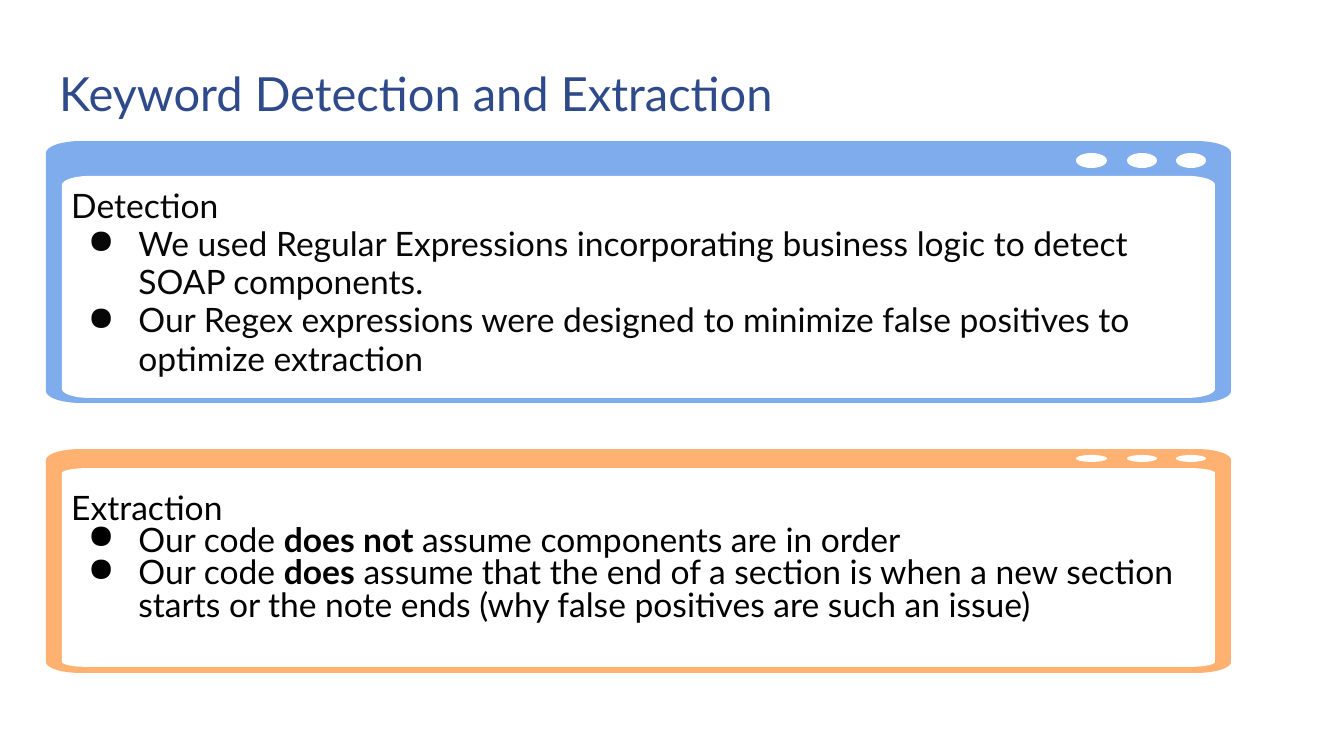
"""Build the slide on keyword detection and extraction."""
import math
from lxml import etree
from pptx import Presentation
from pptx.dml.color import RGBColor
from pptx.enum import shapes, text
from pptx.oxml.ns import qn
from pptx.util import Pt

FONT = "Lato"
TITLE = "Keyword Detection and Extraction"
PANELS = [
    dict(head="Detection", fill="7EACEC", ink="070707", gap=0.95,
         outer=(141, 262, 12), inner=(176, 222, 9), dots=(153, 15), top=174,
         items=[
             [("We used Regular Expressions incorporating business logic "
               "to detect SOAP components.", False)],
             [("Our Regex expressions were designed to minimize false "
               "positives to optimize extraction", False)],
         ]),
    dict(head="Extraction", fill="FFB172", ink="000000", gap=0.8,
         outer=(449, 224, 11), inner=(468, 199, 5), dots=(455, 7), top=481,
         items=[
             [("Our code ", False), ("does not", True),
              (" assume components are in order", False)],
             [("Our code ", False), ("does", True),
              (" assume that the end of a section is when a new section "
               "starts or the note ends (why false positives are such "
               "an issue)", False)],
         ]),
]
DOTS = [(1076, 31), (1127, 30), (1176, 30)]


def px(n):
    return round(n * 914400 / 134.4)


def rgb(code):
    return RGBColor.from_string(code)


def paint(shape, code):
    shape.fill.solid()
    shape.fill.fore_color.rgb = rgb(code)
    shape.line.fill.background()
    shape.shadow.inherit = False


def frame(slide, x, y, w, h, rx, ry, code):
    """Draw a box whose corners are quarter ellipses."""
    mids = [(x + w - rx, y + h - ry), (x + rx, y + h - ry),
            (x + rx, y + ry), (x + w - rx, y + ry)]
    dots = []
    for turn, (cx, cy) in enumerate(mids):
        for step in range(13):
            ang = math.radians(90 * turn + 7.5 * step)
            dots.append((px(cx + rx * math.cos(ang)),
                         px(cy + ry * math.sin(ang))))
    pen = slide.shapes.build_freeform(*dots[0])
    pen.add_line_segments(dots[1:], close=True)
    paint(pen.convert_to_shape(), code)


def box(slide, x, y, w, h):
    area = slide.shapes.add_textbox(*map(px, (x, y, w, h))).text_frame
    area.word_wrap = True
    area.margin_left = area.margin_right = Pt(7.2)
    area.margin_top = area.margin_bottom = Pt(7.2)
    return area


def write(para, words, size, ink, bold=False):
    run = para.add_run()
    run.text = words
    run.font.name = FONT
    run.font.size = Pt(size)
    run.font.bold = bold
    run.font.color.rgb = rgb(ink)


def bullet(para, ink):
    props = para._p.get_or_add_pPr()
    props.set("marL", str(Pt(36)))
    props.set("indent", str(-Pt(27)))
    tint = etree.SubElement(props, qn("a:buClr"))
    etree.SubElement(tint, qn("a:srgbClr"), val=ink)
    etree.SubElement(props, qn("a:buChar"), char="●")


def panel(slide, data):
    top, high, curve = data["outer"]
    frame(slide, 46, top, 1185, high, 35, curve, data["fill"])
    top, high, curve = data["inner"]
    frame(slide, 62, top, 1153, high, 28, curve, "FFFFFF")
    top, high = data["dots"]
    for left, wide in DOTS:
        dot = slide.shapes.add_shape(shapes.MSO_SHAPE.OVAL,
                                     *map(px, (left, top, wide, high)))
        paint(dot, "FFFFFF")
    area = box(slide, 58, data["top"], 1158, 190)
    rows = [[(data["head"], False)]] + data["items"]
    for num, row in enumerate(rows):
        para = area.add_paragraph() if num else area.paragraphs[0]
        para.line_spacing = data["gap"]
        if num:
            bullet(para, data["ink"])
        for words, bold in row:
            write(para, words, 18, data["ink"], bold)


def main():
    deck = Presentation()
    deck.slide_width, deck.slide_height = px(1344), px(756)
    slide = deck.slides.add_slide(deck.slide_layouts[6])
    for data in PANELS:
        panel(slide, data)
    area = box(slide, 46, 51, 1253, 84)
    area.vertical_anchor = text.MSO_ANCHOR.MIDDLE
    write(area.paragraphs[0], TITLE, 25.2, "2F4A8A")
    deck.save("out.pptx")


if __name__ == "__main__":
    main()
